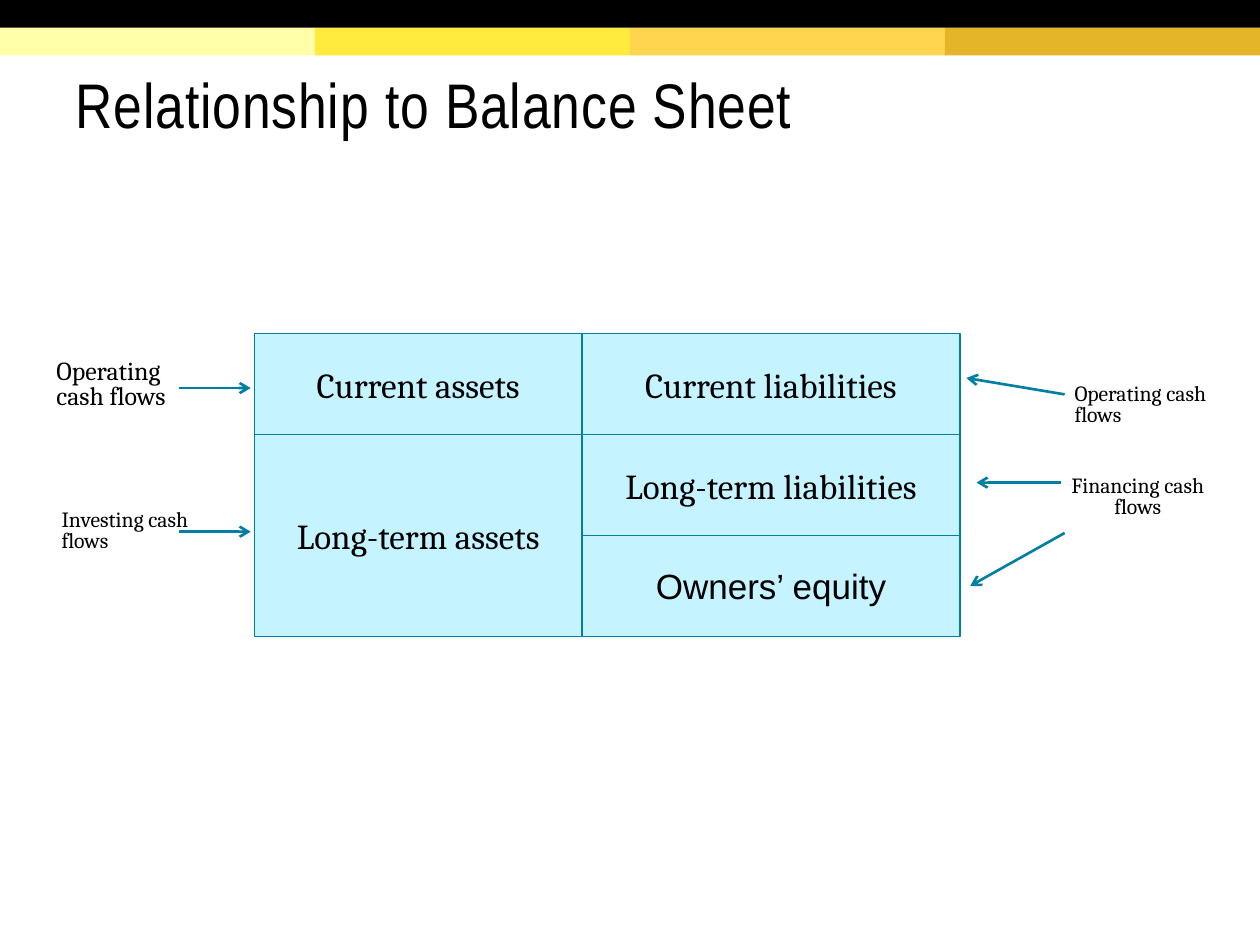
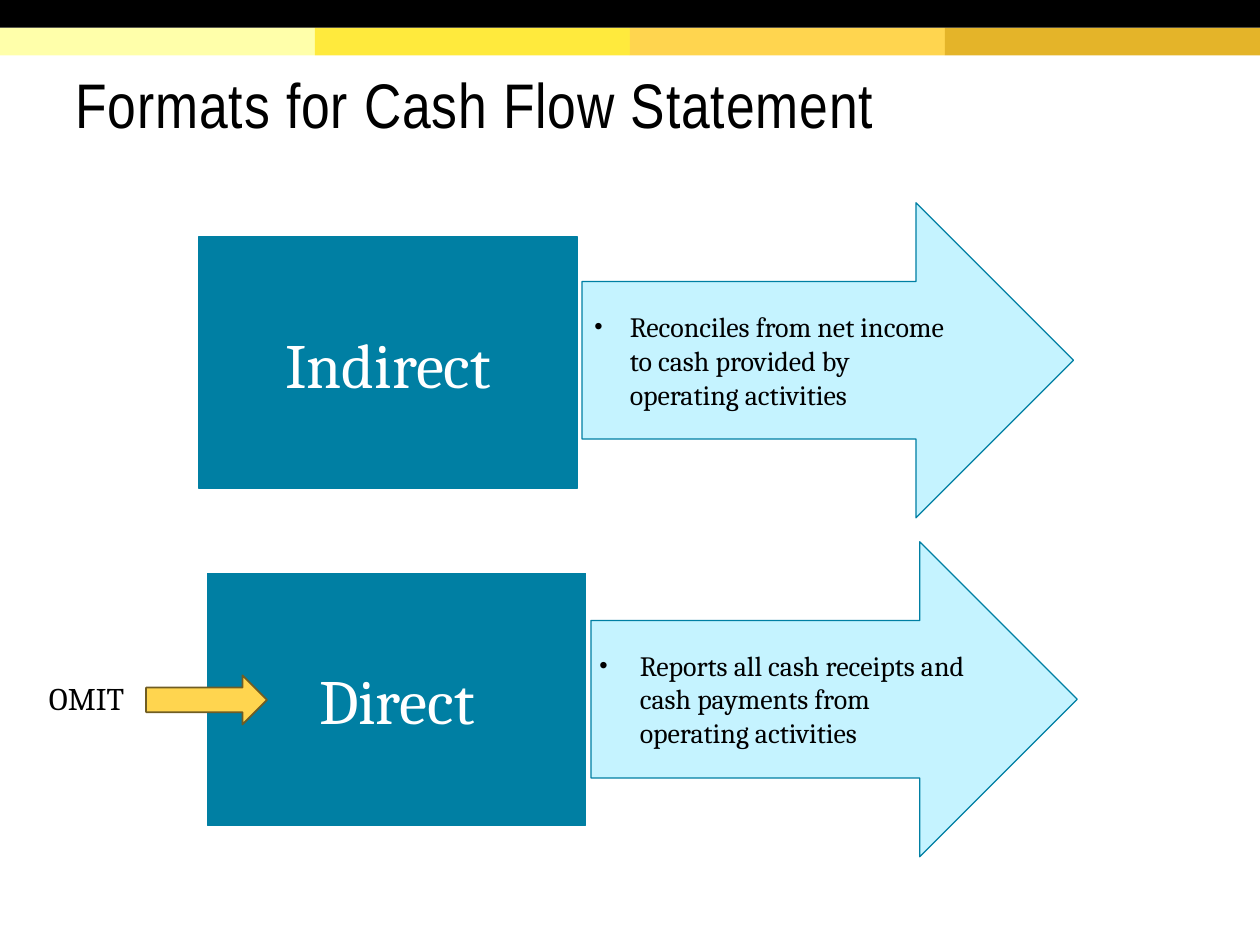
"""Two slides on the cash flow statement."""
from dataclasses import dataclass

from lxml import etree
from pptx import Presentation
from pptx import util as u
from pptx.dml.color import RGBColor
from pptx.enum import shapes, text
from pptx.oxml import ns

RECT = shapes.MSO_SHAPE.RECTANGLE
ARROW = shapes.MSO_SHAPE.RIGHT_ARROW
LEFT, CENTER = text.PP_ALIGN.LEFT, text.PP_ALIGN.CENTER


@dataclass(frozen=True)
class Theme:
    """Colours, fonts and type sizes of the deck."""
    bands: tuple = ("FFFFAA", "FFEA3D", "FFD54F", "E4B429")
    black: str = "000000"
    white: str = "FFFFFF"
    teal: str = "007FA3"
    pale: str = "C5F3FF"
    gold: str = "FFD54F"
    brown: str = "705D23"
    title_font: str = "Arial Narrow"
    body_font: str = "Cambria"
    alt_font: str = "Arial"
    heading: float = 36
    cell: float = 20
    tag: float = 18
    note: float = 16
    flow_large: float = 14.8
    flow: float = 12.4


T = Theme()


def rgb(value):
    """Turn a hex string into a colour."""
    return RGBColor.from_string(value)


def inches(*values):
    """Turn numbers into lengths in inches."""
    return [u.Inches(v) for v in values]


def add_box(s, kind, box, fill, line=None, width=0.75):
    """Add a flat preset shape."""
    sp = s.shapes.add_shape(kind, *inches(*box))
    sp.shadow.inherit = False
    sp.fill.solid()
    sp.fill.fore_color.rgb = rgb(fill)
    if line:
        sp.line.color.rgb = rgb(line)
        sp.line.width = u.Pt(width)
    else:
        sp.line.fill.background()
    return sp


def write(sp, words, size, color=T.black, font=T.body_font, align=LEFT,
          spacing=None, indent=0, bullet=False, inset=0.1):
    """Write one formatted paragraph in the middle of a shape."""
    tf = sp.text_frame
    tf.word_wrap = True
    tf.auto_size = text.MSO_AUTO_SIZE.NONE
    tf.vertical_anchor = text.MSO_ANCHOR.MIDDLE
    tf.margin_left = tf.margin_right = u.Inches(0.1)
    tf.margin_top = tf.margin_bottom = u.Inches(inset)
    tf.text = words
    p = tf.paragraphs[0]
    p.alignment = align
    if spacing:
        p.line_spacing = spacing
    if indent:
        p_pr = p._p.get_or_add_pPr()
        p_pr.set("marL", str(u.Inches(indent)))
        p_pr.set("indent", str(-u.Inches(indent) if bullet else 0))
    if bullet:
        color_el = etree.SubElement(p_pr, ns.qn("a:buClr"))
        etree.SubElement(color_el, ns.qn("a:srgbClr"), val=color)
        etree.SubElement(p_pr, ns.qn("a:buSzPct"), val="85000")
        etree.SubElement(p_pr, ns.qn("a:buFont"), typeface=T.alt_font)
        etree.SubElement(p_pr, ns.qn("a:buChar"), char="•")
    r = p.runs[0]
    r.font.name = font
    r.font.size = u.Pt(size)
    r.font.color.rgb = rgb(color)
    return r


def add_text(s, box, words, size, **style):
    """Add a text box with one paragraph."""
    write(s.shapes.add_textbox(*inches(*box)), words, size, **style)


def add_arrow(s, start, end):
    """Add a line with an open arrowhead at its end."""
    cx = s.shapes.add_connector(shapes.MSO_CONNECTOR.STRAIGHT, *inches(*start, *end))
    cx.line.color.rgb = rgb(T.teal)
    cx.line.width = u.Pt(1.5)
    etree.SubElement(cx.line._get_or_add_ln(), ns.qn("a:tailEnd"), type="arrow")
    etree.SubElement(cx._element.spPr, ns.qn("a:effectLst"))


def add_slide(prs, title):
    """Start a slide with the top bands and its title."""
    s = prs.slides.add_slide(prs.slide_layouts[5])
    height, width = 0.22, 10 / len(T.bands)
    for i, color in enumerate(T.bands):
        add_box(s, RECT, (i * width, height, width, height), color)
    add_box(s, RECT, (0, 0, 10, height), T.black)
    sp = s.shapes.title
    sp.left, sp.top, sp.width, sp.height = inches(0.5, 0.24, 9, 1.2)
    r = write(sp, title, T.heading, font=T.title_font, spacing=0.85)
    sp.text_frame.margin_bottom = u.Inches(0.05)
    r._r.get_or_add_rPr().set("spc", "50")
    return s


def balance_sheet(s, left, top):
    """Draw assets beside liabilities and equity."""
    row, assets_w, claims_w = 0.8, 2.6, 3
    cells = [
        ("Current assets", 0, 0, 1, T.body_font),
        ("Long-term assets", 0, 1, 2, T.body_font),
        ("Current liabilities", 1, 0, 1, T.body_font),
        ("Long-term liabilities", 1, 1, 1, T.body_font),
        ("Owners’ equity", 1, 2, 1, T.alt_font),
    ]
    for words, col, first, span, font in cells:
        box = (left + col * assets_w, top + first * row,
               claims_w if col else assets_w, span * row)
        sp = add_box(s, RECT, box, T.pale, T.teal)
        write(sp, words, T.cell, font=font, align=CENTER)


def cash_flows(s, left, top):
    """Label the cash flows on both sides of the balance sheet."""
    labels = [
        ("Operating cash flows", (0, 0, 1.56, 0.62), T.flow_large, LEFT),
        ("Investing cash flows", (0.04, 1.19, 1.6, 0.56), T.flow, LEFT),
        ("Operating cash flows", (8.08, 0.19, 1.64, 0.56), T.flow, LEFT),
        ("Financing cash flows", (8.05, 0.92, 1.58, 0.56), T.flow, CENTER),
    ]
    for words, (x, y, w, h), size, align in labels:
        add_text(s, (left + x, top + y, w, h), words, size,
                 align=align, spacing=0.8, indent=0.32)
    arrows = [
        (1.39, 0.33, 1.96, 0.33),
        (1.39, 1.47, 1.96, 1.47),
        (8.42, 0.38, 7.64, 0.25),
        (8.39, 1.08, 7.72, 1.08),
        (8.42, 1.48, 7.67, 1.9),
    ]
    for x1, y1, x2, y2 in arrows:
        add_arrow(s, (left + x1, top + y1), (left + x2, top + y2))


def format_row(s, box, name, panel_y, note, note_box, indent):
    """Draw a named panel and the arrow that explains it."""
    left, top, width, height = box
    arrow_x = 3.04
    sp = add_box(s, RECT, (left, top + panel_y, 3, 2), T.teal, T.teal)
    write(sp, name, T.heading, color=T.white, align=CENTER)
    add_box(s, ARROW, (left + arrow_x, top, width - arrow_x, height), T.pale, T.teal)
    x, y, w, h = note_box
    add_text(s, (left + x, top + y, w, h), note, T.note, indent=indent, bullet=True)


def omit_tag(s, left, top):
    """Point out the format that is left out."""
    add_text(s, (left, top, 1.15, 0.4), "OMIT", T.tag, inset=0.05)
    add_box(s, ARROW, (left + 0.87, top + 0.02, 0.96, 0.39), T.gold, T.brown, 1)


def main():
    """Build and save the deck."""
    prs = Presentation()
    prs.slide_width, prs.slide_height = inches(10, 7.5)

    s = add_slide(prs, "Relationship to Balance Sheet")
    balance_sheet(s, 2.02, 2.65)
    cash_flows(s, 0.03, 2.75)

    s = add_slide(prs, "Formats for Cash Flow Statement")
    format_row(s, (1.58, 1.61, 6.94, 2.5), "Indirect", 0.27,
               "Reconciles from net income to cash provided by operating activities",
               (3.04, 0.64, 3, 1.22), 0.28)
    format_row(s, (1.65, 4.3, 6.9, 2.5), "Direct", 0.25,
               "Reports all cash receipts and cash payments from operating activities",
               (3.01, 0.62, 3.17, 1.25), 0.32)
    omit_tag(s, 0.29, 5.34)

    prs.save("out.pptx")


if __name__ == "__main__":
    main()
